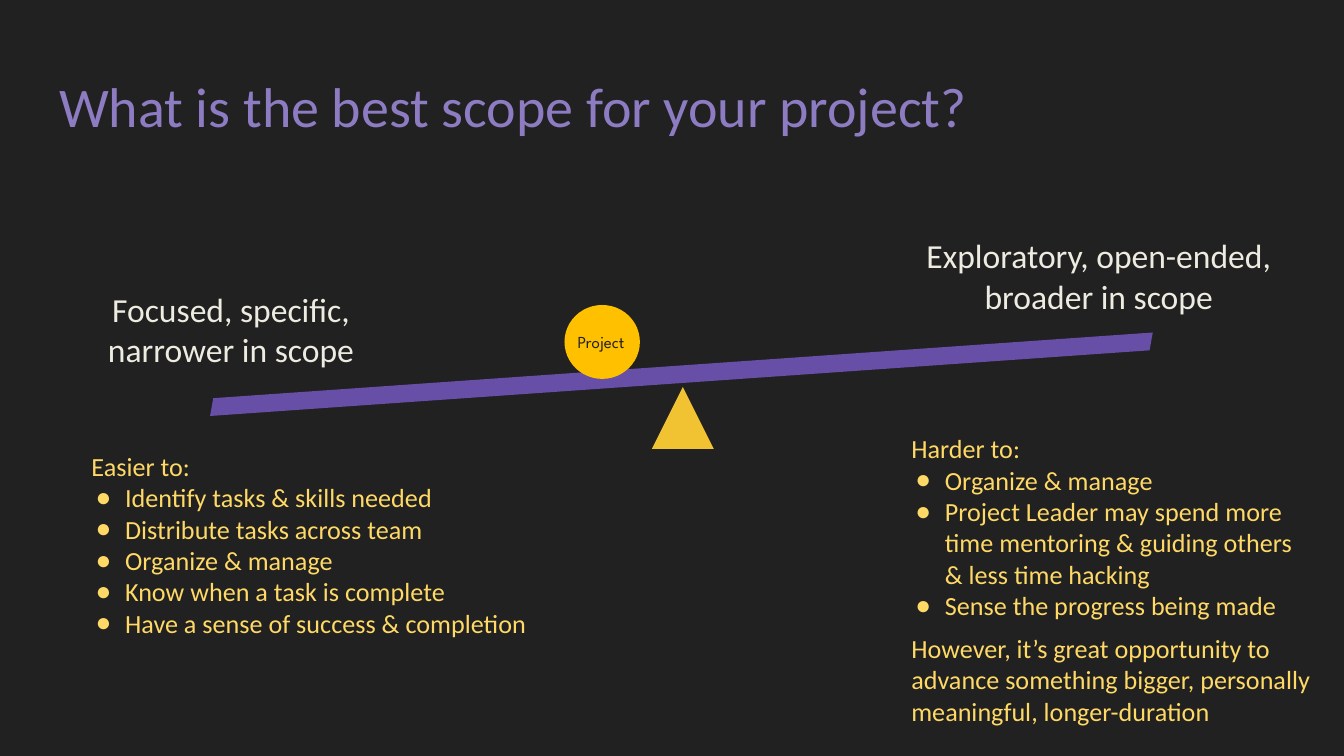
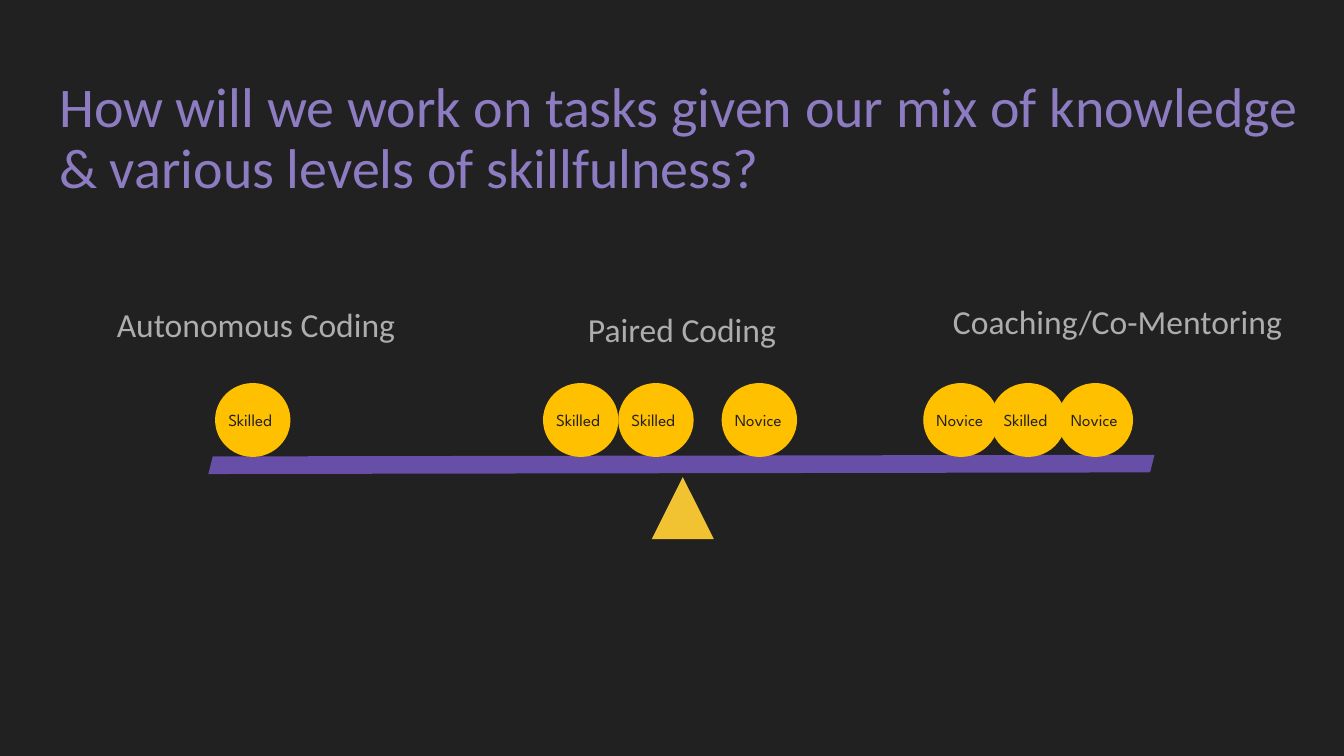
"""Build two slides that compare project scopes and ways of working on a seesaw."""
from dataclasses import dataclass

from lxml import etree
from pptx import Presentation
from pptx.dml.color import RGBColor
from pptx.enum.shapes import MSO_SHAPE
from pptx.enum.text import MSO_ANCHOR, MSO_AUTO_SIZE, PP_ALIGN
from pptx.oxml.ns import qn
from pptx.util import Pt

ELLIPSE = MSO_SHAPE.OVAL
TRIANGLE = MSO_SHAPE.ISOSCELES_TRIANGLE
PARALLELOGRAM = MSO_SHAPE.PARALLELOGRAM
LEFT, CENTER = PP_ALIGN.LEFT, PP_ALIGN.CENTER
TOP = MSO_ANCHOR.TOP
NO_FIT = MSO_AUTO_SIZE.NONE

DARK = RGBColor(0x21, 0x21, 0x21)
LILAC = RGBColor(0x8E, 0x7C, 0xC3)
PURPLE = RGBColor(0x67, 0x4E, 0xA7)
GOLD = RGBColor(0xF1, 0xC2, 0x32)
AMBER = RGBColor(0xFF, 0xC0, 0x00)
YELLOW = RGBColor(0xFF, 0xD9, 0x66)
CREAM = RGBColor(0xEE, 0xEC, 0xE1)
GREY = RGBColor(0xAD, 0xAD, 0xAD)

BODY_FONT, BALL_FONT = "Calibri", "League Spartan"
TWO_CONTENT, TITLE_ONLY = 3, 5
PIVOT_DROP = 11.5


@dataclass(frozen=True)
class Box:
    left: float
    top: float
    width: float
    height: float

    def lengths(self) -> tuple:
        return Pt(self.left), Pt(self.top), Pt(self.width), Pt(self.height)


@dataclass(frozen=True)
class Ball:
    text: str
    left: float


@dataclass(frozen=True)
class Label:
    text: str
    box: Box


@dataclass(frozen=True)
class BulletList:
    box: Box
    heading: str
    items: tuple
    closing: str = ""


SCOPE_LABELS = (
    Label("Exploratory, open-ended, broader in scope", Box(481, 122.4, 215.3, 51)),
    Label("Focused, specific, narrower in scope", Box(35.3, 151.2, 177, 51)),
)
SCOPE_LISTS = (
    BulletList(
        Box(41.8, 237.6, 260.6, 109.4),
        "Easier to:",
        (
            "Identify tasks & skills needed",
            "Distribute tasks across team",
            "Organize & manage",
            "Know when a task is complete",
            "Have a sense of success & completion",
        ),
    ),
    BulletList(
        Box(481, 228.2, 229.7, 166.3),
        "Harder to:",
        (
            "Organize & manage",
            "Project Leader may spend more time mentoring & guiding others & less time hacking",
            "Sense the progress being made",
        ),
        "However, it’s great opportunity to advance something bigger, "
        "personally meaningful, longer-duration",
    ),
)
CODING_LABELS = (
    Label("Autonomous Coding", Box(51.1, 159.1, 172.1, 28.8)),
    Label("Paired Coding", Box(295.9, 162, 139, 28.8)),
    Label("Coaching/Co-Mentoring", Box(496.8, 157.7, 203.8, 28.8)),
)
CODERS = (
    Ball("Skilled", 115.2),
    Ball("Skilled", 290.9),
    Ball("Skilled", 331.2),
    Ball("Novice", 386.6),
    Ball("Novice", 494.6),
    Ball("Skilled", 530.6),
    Ball("Novice", 566.6),
)


def place(sp, box: Box) -> None:
    sp.left, sp.top, sp.width, sp.height = box.lengths()


def set_frame(tf, inset: float) -> None:
    tf.word_wrap = True
    tf.auto_size = NO_FIT
    tf.vertical_anchor = TOP
    tf.margin_left = tf.margin_right = Pt(7.2)
    tf.margin_top = tf.margin_bottom = Pt(inset)


def style(p, size: float, color: RGBColor, font: str = BODY_FONT, align=LEFT) -> None:
    p.alignment = align
    for r in p.runs:
        r.font.size = Pt(size)
        r.font.name = font
        r.font.color.rgb = color


def set_title(s, text: str, box: Box) -> None:
    sp = s.shapes.title
    place(sp, box)
    tf = sp.text_frame
    set_frame(tf, 7.2)
    tf.text = text
    p = tf.paragraphs[0]
    p.line_spacing = 0.9
    style(p, 30, LILAC)


def add_label(s, label: Label, color: RGBColor) -> None:
    tf = s.shapes.add_textbox(*label.box.lengths()).text_frame
    set_frame(tf, 3.6)
    tf.text = label.text
    style(tf.paragraphs[0], 18, color, align=CENTER)


def set_bullet(p, bulleted: bool) -> None:
    pPr = p._p.get_or_add_pPr()
    pPr.set("marL", str(Pt(18) if bulleted else 0))
    pPr.set("indent", str(Pt(-15.8) if bulleted else 0))
    if bulleted:
        clr = etree.SubElement(pPr, qn("a:buClr"))
        etree.SubElement(clr, qn("a:srgbClr")).set("val", str(YELLOW))
        etree.SubElement(pPr, qn("a:buChar")).set("char", "●")
    else:
        etree.SubElement(pPr, qn("a:buNone"))


def fill_list(sp, content: BulletList) -> None:
    place(sp, content.box)
    tf = sp.text_frame
    set_frame(tf, 3.6)
    lines = [content.heading, *content.items]
    if content.closing:
        lines.append(content.closing)
    tf.text = "\n".join(lines)
    for p in tf.paragraphs:
        p.space_before = Pt(6 if p.text == content.closing else 0)
        set_bullet(p, p.text in content.items)
        style(p, 14, YELLOW)


def add_filled(shapes, preset, box: Box, color: RGBColor):
    sp = shapes.add_shape(preset, *box.lengths())
    sp.shadow.inherit = False
    sp.fill.solid()
    sp.fill.fore_color.rgb = color
    sp.line.fill.background()
    return sp


def add_seesaw(s, top: float, angle: float) -> None:
    add_filled(s.shapes, TRIANGLE, Box(349.2, top + PIVOT_DROP, 33.2, 33.2), GOLD)
    beam = add_filled(s.shapes, PARALLELOGRAM, Box(111.6, top, 506.9, 9.4), PURPLE)
    beam.rotation = angle


def add_ball(s, ball: Ball, top: float) -> None:
    shapes = s.shapes.add_group_shape().shapes
    add_filled(shapes, ELLIPSE, Box(ball.left, top, 40.4, 39.6), AMBER)
    tag = Box(ball.left, top + 7.2, 46.8, 25.2)
    tf = shapes.add_textbox(*tag.lengths()).text_frame
    set_frame(tf, 7.2)
    tf.text = ball.text
    style(tf.paragraphs[0], 9, DARK, BALL_FONT)


def build_scope(prs) -> None:
    s = prs.slides.add_slide(prs.slide_layouts[TWO_CONTENT])
    set_title(s, "What is the best scope for your project?", Box(24.5, 35.3, 671, 45.4))
    add_seesaw(s, 195.8, 176)
    add_ball(s, Ball("Project", 302.4), 163.4)
    for label in SCOPE_LABELS:
        add_label(s, label, CREAM)
    for index, content in enumerate(SCOPE_LISTS, start=1):
        fill_list(s.placeholders[index], content)


def build_coding(prs) -> None:
    s = prs.slides.add_slide(prs.slide_layouts[TITLE_ONLY])
    set_title(
        s,
        "How will we work on tasks given our mix of knowledge & various levels of skillfulness?",
        Box(24.5, 35.3, 684, 74.2),
    )
    add_seesaw(s, 244.1, 359.9)
    for label in CODING_LABELS:
        add_label(s, label, GREY)
    for ball in CODERS:
        add_ball(s, ball, 205.2)


def main() -> None:
    prs = Presentation()
    prs.slide_width, prs.slide_height = Pt(720), Pt(405)
    fill = prs.slide_master.background.fill
    fill.solid()
    fill.fore_color.rgb = DARK
    build_scope(prs)
    build_coding(prs)
    prs.save("out.pptx")


if __name__ == "__main__":
    main()
